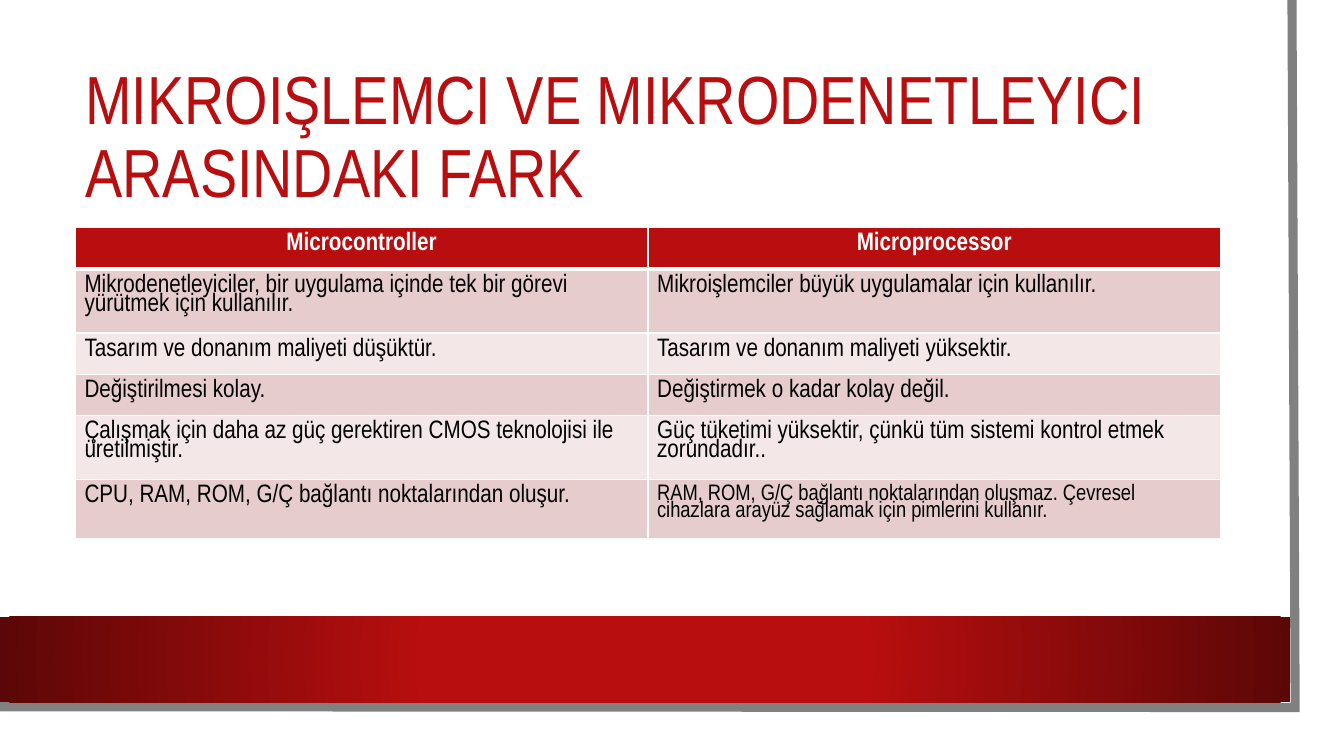
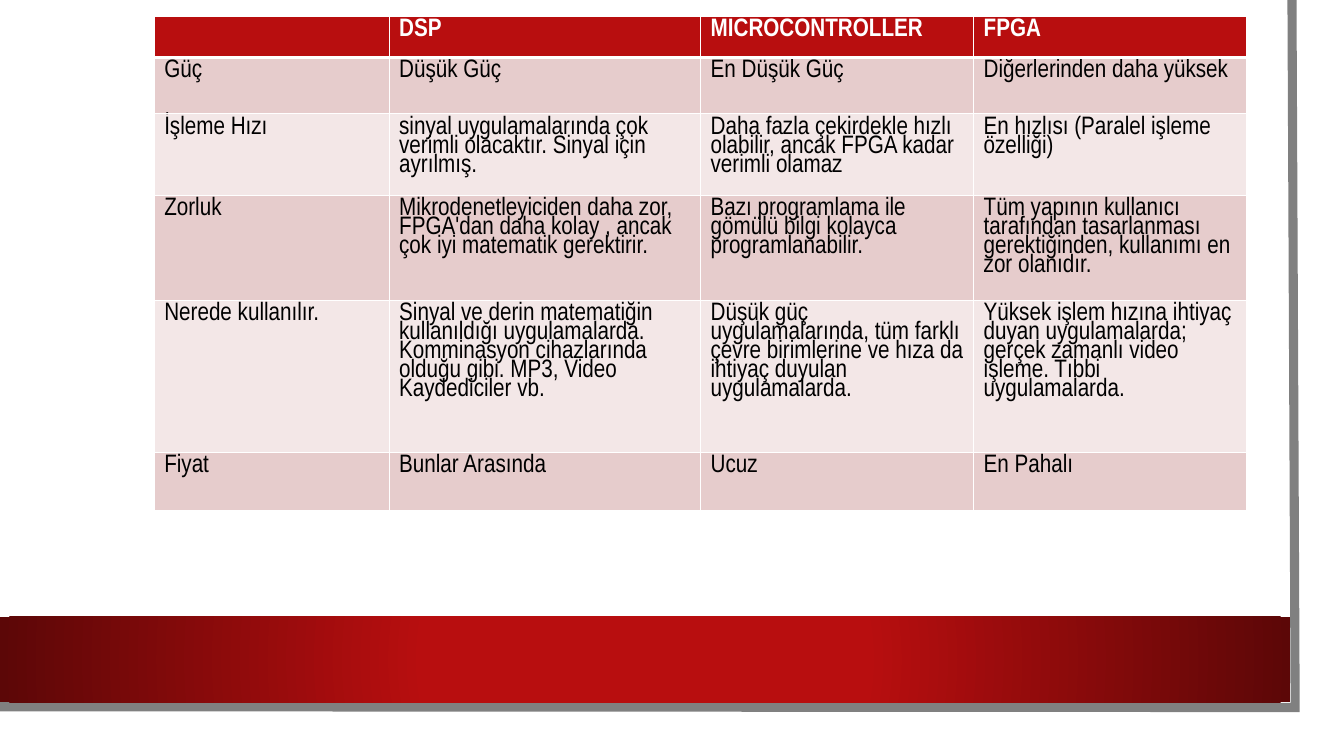
from lxml import etree
from pptx import Presentation
from pptx.dml.color import RGBColor
from pptx.enum.shapes import MSO_SHAPE as Shape
from pptx.enum.text import MSO_ANCHOR as Anchor, MSO_AUTO_SIZE as AutoSize, PP_ALIGN as Align
from pptx.oxml import parse_xml
from pptx.oxml.ns import nsdecls, qn
from pptx.util import Cm, Pt

FONT = "Arial Narrow"
RED, DARK_RED, GRAY = "B80E0F", "5C0707", "808080"
WHITE, BLACK = "FFFFFF", "000000"
BAND_FILLS = ("E6CCCC", "F3E7E7")
TITLE_ONLY, BLANK = 5, 6

COMPARISON = [
    ("Microcontroller", "Microprocessor"),
    ("Mikrodenetleyiciler, bir uygulama içinde tek bir görevi yürütmek için kullanılır.",
     "Mikroişlemciler büyük uygulamalar için kullanılır."),
    ("Tasarım ve donanım maliyeti düşüktür.", "Tasarım ve donanım maliyeti yüksektir."),
    ("Değiştirilmesi kolay.", "Değiştirmek o kadar kolay değil."),
    ("Çalışmak için daha az güç gerektiren CMOS teknolojisi ile üretilmiştir.",
     "Güç tüketimi yüksektir, çünkü tüm sistemi kontrol etmek zorundadır.."),
    ("CPU, RAM, ROM, G/Ç bağlantı noktalarından oluşur.",
     "RAM, ROM, G/Ç bağlantı noktalarından oluşmaz. Çevresel cihazlara arayüz "
     "sağlamak için pimlerini kullanır."),
]

PLATFORMS = [
    ("", "DSP", "MICROCONTROLLER", "FPGA"),
    ("Güç", "Düşük Güç", "En Düşük Güç", "Diğerlerinden daha yüksek"),
    ("İşleme Hızı",
     "sinyal uygulamalarında çok verimli olacaktır. Sinyal için ayrılmış.",
     "Daha fazla çekirdekle hızlı olabilir, ancak FPGA kadar verimli olamaz",
     "En hızlısı (Paralel işleme özelliği)"),
    ("Zorluk",
     "Mikrodenetleyiciden daha zor, FPGA'dan daha kolay , ancak çok iyi matematik gerektirir.",
     "Bazı programlama ile gömülü bilgi kolayca programlanabilir.",
     "Tüm yapının kullanıcı tarafından tasarlanması gerektiğinden, kullanımı en zor olanıdır."),
    ("Nerede kullanılır.",
     "Sinyal ve derin matematiğin kullanıldığı uygulamalarda. Komminasyon cihazlarında "
     "olduğu gibi. MP3, Video Kaydediciler vb.",
     "Düşük güç uygulamalarında, tüm farklı çevre birimlerine ve hıza da ihtiyaç duyulan "
     "uygulamalarda.",
     "Yüksek işlem hızına ihtiyaç duyan uygulamalarda; gerçek zamanlı video işleme. Tıbbi "
     "uygulamalarda."),
    ("Fiyat", "Bunlar Arasında", "Ucuz", "En Pahalı"),
]


def rgb(value):
    return RGBColor.from_string(value)


def format_text(text_frame, size, color, bold=False, spacing=0.8, align=Align.LEFT):
    for paragraph in text_frame.paragraphs:
        paragraph.alignment = align
        paragraph.line_spacing = spacing
        for run in paragraph.runs:
            run.font.name = FONT
            run.font.size = Pt(size)
            run.font.bold = bold
            run.font.color.rgb = rgb(color)


def set_borders(cell, top, bottom):
    """Draw white cell borders; top and bottom are widths in points."""
    properties = cell._tc.get_or_add_tcPr()
    for side, width in (("L", 1), ("R", 1), ("T", top), ("B", bottom)):
        line = etree.SubElement(properties, qn(f"a:ln{side}"), w=str(Pt(width)))
        fill = etree.SubElement(line, qn("a:solidFill"))
        etree.SubElement(fill, qn("a:srgbClr"), val=WHITE)


class Deck:
    def __init__(self):
        self.presentation = Presentation()
        self.presentation.slide_width = Cm(33.87)
        self.presentation.slide_height = Cm(19.05)
        self.slide = None

    def new_slide(self, layout):
        slides = self.presentation.slides
        self.slide = slides.add_slide(self.presentation.slide_layouts[layout])
        if len(slides) == 1:
            self.decorate_master()

    def decorate_master(self):
        """Draw the shared background and move it behind the master's placeholders."""
        panel = self.rectangle(0, 0, 33.27, 18.47)
        panel.fill.solid()
        panel.fill.fore_color.rgb = rgb(WHITE)
        decorations = [panel, self.frame(), self.gradient_band()]
        master_tree = self.presentation.slide_master.shapes.element
        for index, shape in enumerate(decorations):
            shape.element.nvSpPr.cNvPr.set("id", str(20 + index))
            master_tree.insert(2 + index, shape.element)

    def rectangle(self, left, top, width, height):
        shape = self.slide.shapes.add_shape(
            Shape.RECTANGLE, Cm(left), Cm(top), Cm(width), Cm(height))
        shape.shadow.inherit = False
        shape.line.fill.background()
        return shape

    def frame(self):
        """Draw the thick edge along the right and bottom of the panel."""
        builder = self.slide.shapes.build_freeform(Cm(32.56), 0)
        builder.add_line_segments(
            [(Cm(32.64), Cm(17.83)), (Cm(-0.08), Cm(17.81))], close=False)
        shape = builder.convert_to_shape()
        shape.shadow.inherit = False
        shape.fill.background()
        shape.line.color.rgb = rgb(GRAY)
        shape.line.width = Pt(6.5)
        etree.SubElement(shape.line._get_or_add_ln(), qn("a:miter"), lim="800000")
        return shape

    def gradient_band(self):
        band = self.rectangle(0, 15.54, 32.51, 2.16)
        gradient = parse_xml(
            f'<a:gradFill {nsdecls("a")} rotWithShape="1"><a:gsLst>'
            f'<a:gs pos="34000"><a:srgbClr val="{RED}"/></a:gs>'
            f'<a:gs pos="100000"><a:srgbClr val="{DARK_RED}"/></a:gs></a:gsLst>'
            '<a:path path="circle"><a:fillToRect l="50000" t="50000" r="50000" b="50000"/>'
            '</a:path></a:gradFill>')
        band.element.spPr.find(qn("a:prstGeom")).addnext(gradient)
        return band

    def title(self, text):
        title = self.slide.shapes.title
        title.left, title.top, title.width, title.height = (
            Cm(1.9), Cm(1.9), Cm(28.87), Cm(3.2))
        text_frame = title.text_frame
        text_frame.text = text
        text_frame.word_wrap = True
        text_frame.auto_size = AutoSize.NONE
        text_frame.vertical_anchor = Anchor.MIDDLE
        format_text(text_frame, 48.6, RED, spacing=0.9)

    def table(self, rows, left, top, widths, heights, margins, header_align=Align.LEFT):
        """Add a banded table; margins are the horizontal and vertical cell insets."""
        table = self.slide.shapes.add_table(
            len(rows), len(widths), Cm(left), Cm(top),
            Cm(sum(widths)), Cm(sum(heights))).table
        table.horz_banding = False
        for column, width in zip(table.columns, widths):
            column.width = Cm(width)
        for index, (row, height, texts) in enumerate(zip(table.rows, heights, rows)):
            row.height = Cm(height)
            is_header = index == 0
            for cell, text in zip(row.cells, texts):
                cell.margin_left = cell.margin_right = Cm(margins[0])
                cell.margin_top = cell.margin_bottom = Cm(margins[1])
                set_borders(cell, 3 if index == 1 else 1, 3 if is_header else 1)
                cell.fill.solid()
                cell.fill.fore_color.rgb = rgb(RED if is_header else BAND_FILLS[(index - 1) % 2])
                cell.text_frame.text = text
                format_text(cell.text_frame, 18, WHITE if is_header else BLACK, is_header,
                            align=header_align if is_header else Align.LEFT)
        return table


def main():
    deck = Deck()

    deck.new_slide(TITLE_ONLY)
    deck.title("MIKROIŞLEMCI VE MIKRODENETLEYICI ARASINDAKI FARK")
    comparison = deck.table(
        COMPARISON, 1.9, 5.74, [14.43] * 2, [1.04, 1.61, 1.04, 1.04, 1.61, 1.49],
        (0.23, 0.2), Align.CENTER)
    format_text(comparison.cell(5, 1).text_frame, 16, BLACK)

    deck.new_slide(BLANK)
    deck.table(
        PLATFORMS, 3.89, 0.41, [5.92, 7.85, 6.88, 6.88],
        [1.04, 1.42, 2.05, 2.65, 3.83, 1.46], (0.25, 0.13))

    deck.presentation.save("out.pptx")


if __name__ == "__main__":
    main()
